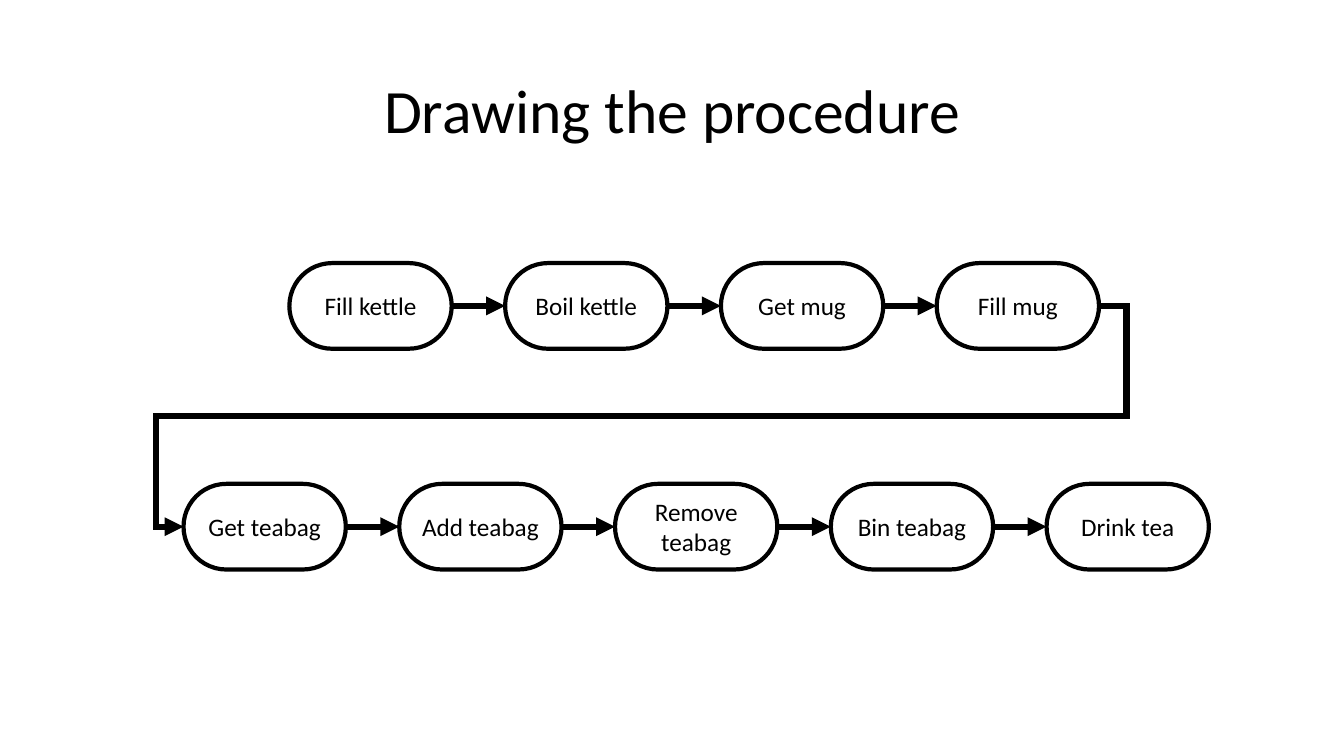
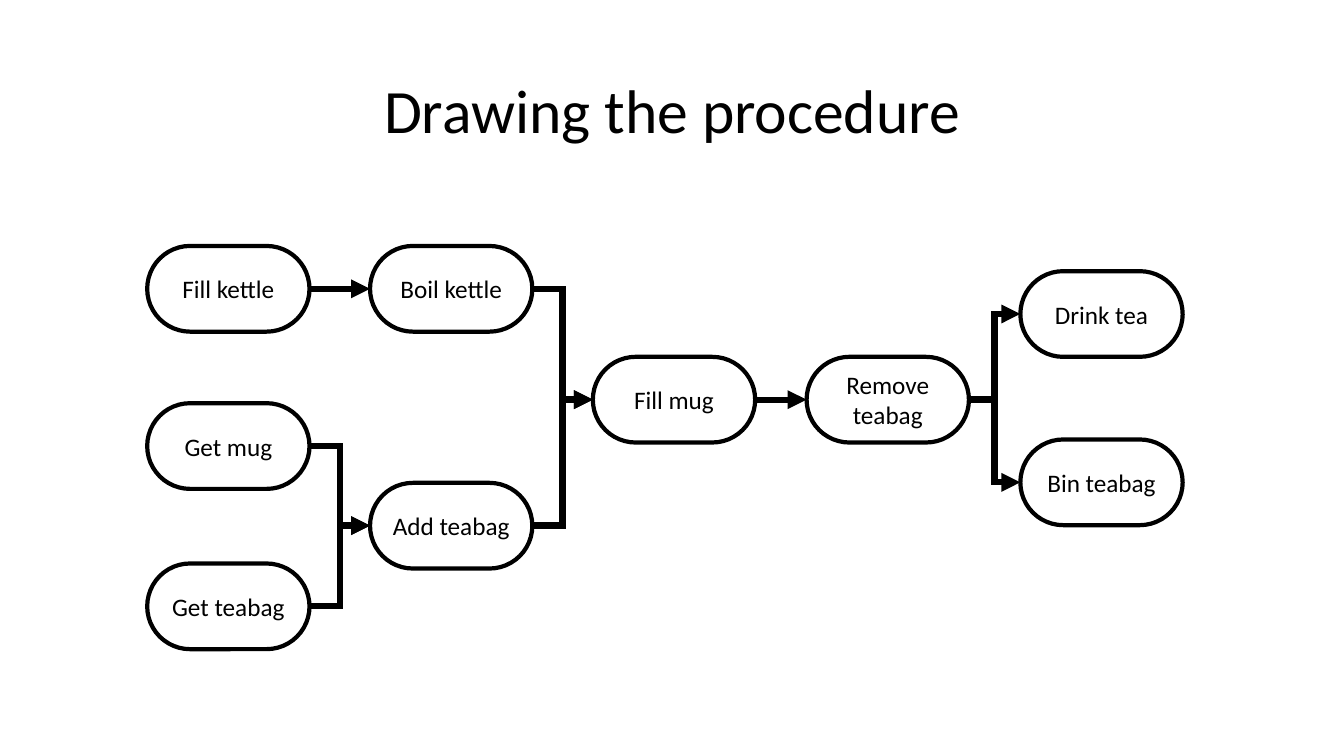
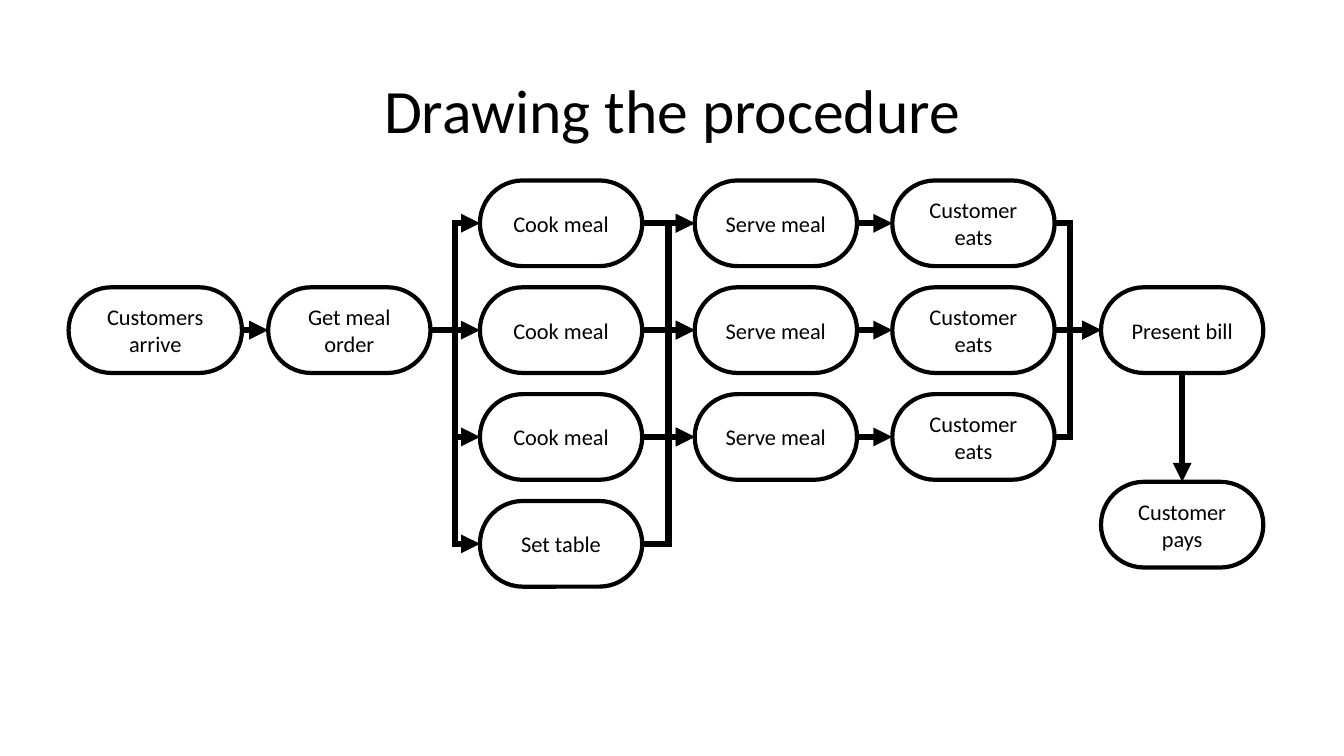
from dataclasses import dataclass
from itertools import pairwise

from lxml.etree import SubElement
from pptx import Presentation
from pptx.dml.color import RGBColor
from pptx.enum.shapes import MSO_CONNECTOR, MSO_SHAPE
from pptx.enum.text import MSO_ANCHOR, PP_ALIGN
from pptx.oxml.ns import qn
from pptx.util import Inches, Pt

TOP, LEFT, BOTTOM, RIGHT = range(4)


@dataclass(frozen=True)
class Theme:
    ink: RGBColor = RGBColor(0, 0, 0)
    font: str = "Calibri"
    title: int = 44
    step: int = 18
    small: int = 16
    edge: float = 3
    arrow: float = 4.5
    width: float = 1.61
    height: float = 0.85


class Deck:
    def __init__(self, theme):
        self.theme = theme
        self.file = Presentation()
        self.file.slide_width = Inches(13.33)
        self.file.slide_height = Inches(7.5)

    def page(self, title):
        """Start a slide with its heading."""
        self.slide = self.file.slides.add_slide(self.file.slide_layouts[6])
        box = self.slide.shapes.add_textbox(
            Inches(0.92), Inches(0.4), Inches(11.5), Inches(1.45))
        self.label(box, title, self.theme.title)
        box.text_frame.paragraphs[0].line_spacing = 0.9

    def label(self, shape, text, size):
        frame = shape.text_frame
        frame.word_wrap = True
        frame.vertical_anchor = MSO_ANCHOR.MIDDLE
        para = frame.paragraphs[0]
        para.alignment = PP_ALIGN.CENTER
        run = para.add_run()
        run.text = text
        run.font.name = self.theme.font
        run.font.size = Pt(size)
        run.font.color.rgb = self.theme.ink

    def step(self, text, x, y, size=None, width=None):
        """Add a pill with one step of the procedure."""
        theme = self.theme
        pill = self.slide.shapes.add_shape(
            MSO_SHAPE.ROUNDED_RECTANGLE, Inches(x), Inches(y),
            Inches(width or theme.width), Inches(theme.height))
        pill.adjustments[0] = 0.5
        pill.shadow.inherit = False
        pill.fill.background()
        pill.line.color.rgb = theme.ink
        pill.line.width = Pt(theme.edge)
        self.label(pill, text, size or theme.step)
        return pill

    def arrow(self, start, end, kind=MSO_CONNECTOR.STRAIGHT, sides=(RIGHT, LEFT)):
        link = self.slide.shapes.add_connector(kind, 0, 0, 0, 0)
        link.begin_connect(start, sides[0])
        link.end_connect(end, sides[1])
        link.line.color.rgb = self.theme.ink
        link.line.width = Pt(self.theme.arrow)
        props = link.element.spPr
        line = props.find(qn("a:ln"))
        SubElement(line, qn("a:miter"), lim="800000")
        SubElement(line, qn("a:tailEnd"), type="triangle")
        SubElement(props, qn("a:effectLst"))
        return link

    def bend(self, start, end, *turns):
        """Add an elbow arrow; turns are shares of its width or height."""
        link = self.arrow(start, end, MSO_CONNECTOR.ELBOW)
        turns = turns or (0.5,)
        shape = link.element.spPr.find(qn("a:prstGeom"))
        shape.set("prst", f"bentConnector{len(turns) + 2}")
        guides = shape.find(qn("a:avLst"))
        if guides is None:
            guides = SubElement(shape, qn("a:avLst"))
        for i, turn in enumerate(turns, 1):
            SubElement(guides, qn("a:gd"), name=f"adj{i}",
                       fmla=f"val {round(turn * 100000)}")

    def chain(self, steps):
        for start, end in pairwise(steps):
            self.arrow(start, end)


def line_up(deck):
    """Show making tea as one sequence over two rows."""
    deck.page("Drawing the procedure")
    pitch = 2.14
    rows = [
        (2.87, 2.61, ["Fill kettle", "Boil kettle", "Get mug", "Fill mug"]),
        (1.82, 4.8, ["Get teabag", "Add teabag", "Remove teabag",
                     "Bin teabag", "Drink tea"]),
    ]
    upper, lower = [
        [deck.step(text, x + i * pitch, y) for i, text in enumerate(texts)]
        for x, y, texts in rows]
    deck.chain(upper)
    deck.chain(lower)
    deck.bend(upper[-1], lower[0], -0.03, 0.5, 1.03)


def branch(deck):
    """Show making tea with steps side by side."""
    deck.page("Drawing the procedure")
    first, second, last = 1.46, 3.67, 10.12
    top, middle = 2.44, 3.54
    fill = deck.step("Fill kettle", first, top)
    mug = deck.step("Get mug", first, 4)
    bag = deck.step("Get teabag", first, 5.59)
    boil = deck.step("Boil kettle", second, top)
    add = deck.step("Add teabag", second, 4.79)
    pour = deck.step("Fill mug", 5.88, middle)
    remove = deck.step("Remove teabag", 8, middle)
    drink = deck.step("Drink tea", last, 2.69)
    waste = deck.step("Bin teabag", last, 4.36)
    deck.arrow(fill, boil)
    deck.arrow(pour, remove)
    for start, end in [(mug, add), (bag, add), (add, pour), (boil, pour),
                       (remove, drink), (remove, waste)]:
        deck.bend(start, end)


def serve(deck):
    """Show a restaurant meal with three customers at once."""
    deck.page("Drawing the procedure")
    size = deck.theme.small
    rows = [1.79 + i * 1.06 for i in range(4)]
    middle = rows[1]
    arrive = deck.step("Customers arrive", 0.68, middle, size, 1.72)
    order = deck.step("Get meal order", 2.66, middle, size)
    cooks, meals, eaters = [
        [deck.step(text, x, y, size) for y in rows[:3]]
        for text, x in [("Cook meal", 4.76), ("Serve meal", 6.89),
                        ("Customer eats", 8.85)]]
    table = deck.step("Set table", 4.76, rows[3], size)
    bill = deck.step("Present bill", 10.92, middle, size)
    pay = deck.step("Customer pays", 10.92, 4.78, size)
    deck.chain([arrive, order, cooks[1], meals[1], eaters[1], bill])
    deck.arrow(bill, pay, sides=(BOTTOM, TOP))
    for i in (0, 2):
        deck.chain([cooks[i], meals[i], eaters[i]])
        deck.bend(order, cooks[i])
        deck.bend(eaters[i], bill, 0.33)
    deck.bend(order, table)
    for meal in meals:
        deck.bend(table, meal)


def main():
    deck = Deck(Theme())
    line_up(deck)
    branch(deck)
    serve(deck)
    deck.file.save("out.pptx")


if __name__ == "__main__":
    main()
